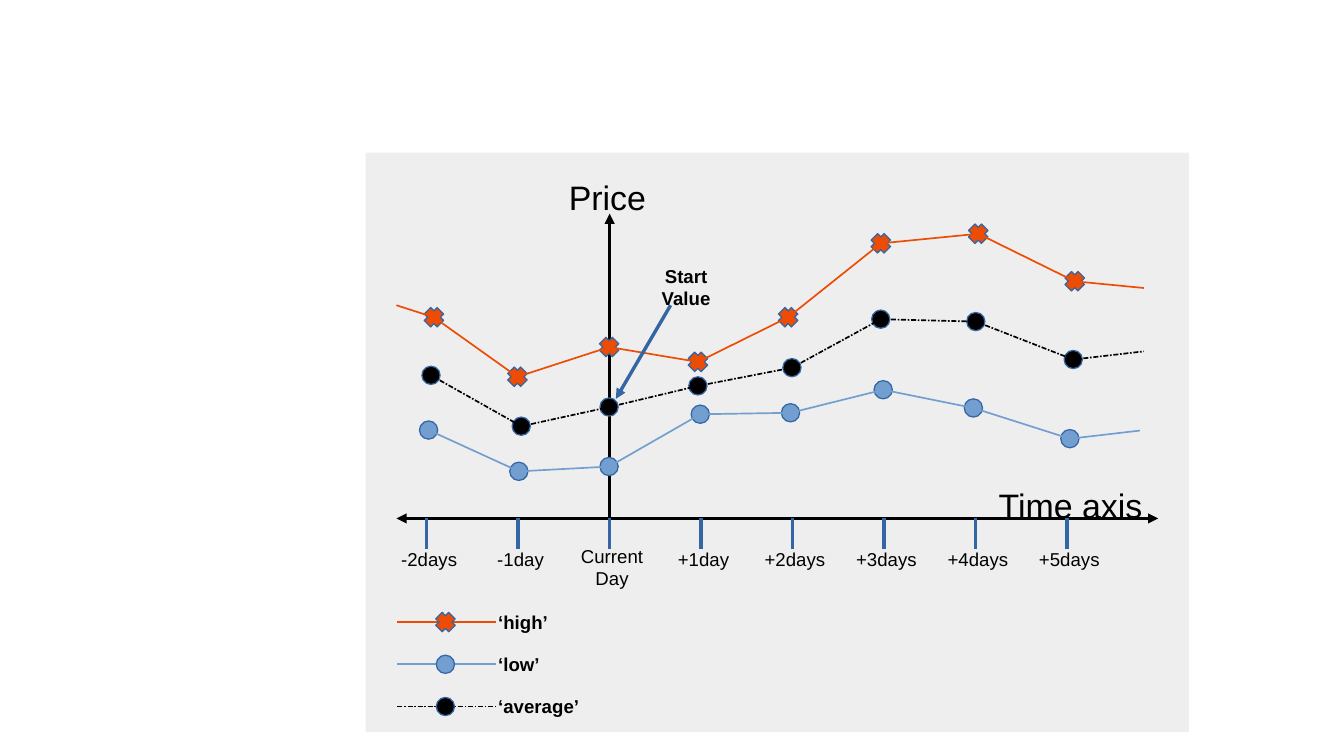
from dataclasses import dataclass
from itertools import pairwise

from lxml import etree
from pptx import Presentation, util as u
from pptx.dml.color import RGBColor
from pptx.enum import shapes, text
from pptx.oxml.ns import qn


@dataclass(frozen=True)
class Theme:
    panel: str = "EEEEEE"
    ink: str = "000000"
    accent: str = "3465A4"
    high: str = "ED4C05"
    low: str = "729FCF"
    font: str = "Arial"
    axis_title: int = 20
    label: int = 11
    hairline: int = 0
    series_line: int = 1


T = Theme()
MARKER = 0.38  # cm
LABEL_H = 1.27  # cm

# Points in cm from the top left corner of the panel
SERIES = {
    "high": dict(
        color=T.high, cross=True, dash=None, lead=(0.64, 3.18), end=(16.21, 2.82),
        points=[(1.42, 3.43), (3.16, 4.67), (5.07, 4.05), (6.92, 4.36),
                (8.8, 3.43), (10.73, 1.89), (12.76, 1.69), (14.77, 2.68)]),
    "low": dict(
        color=T.low, cross=False, dash=None, lead=None, end=(16.13, 5.79),
        points=[(1.31, 5.78), (3.19, 6.64), (5.07, 6.54), (6.97, 5.45),
                (8.85, 5.42), (10.78, 4.94), (12.66, 5.32), (14.67, 5.96)]),
    "average": dict(
        color=T.ink, cross=False, dash="sysDashDot", lead=None, end=(16.21, 4.14),
        points=[(1.36, 4.64), (3.24, 5.7), (5.07, 5.3), (6.92, 4.86),
                (8.88, 4.48), (10.73, 3.47), (12.71, 3.52), (14.74, 4.31)]),
}
DAYS = ["-2days", "-1day", "Current\nDay", "+1day", "+2days", "+3days", "+4days", "+5days"]


# Basic parts
def cm(*values):
    return [u.Cm(v) for v in values]


def line(s, start, end, color, width=T.hairline, dash=None, arrows=()):
    c = s.shapes.add_connector(shapes.MSO_CONNECTOR.STRAIGHT, *cm(*start, *end))
    c.line.color.rgb = RGBColor.from_string(color)
    c.line.width = u.Pt(width)
    props = c.element.spPr
    ln = props.find(qn("a:ln"))
    if dash:
        etree.SubElement(ln, qn("a:prstDash"), val=dash)
    for arrow in arrows:
        etree.SubElement(ln, qn(f"a:{arrow}"), type="triangle")
    etree.SubElement(props, qn("a:effectLst"))


def shape(s, kind, box, fill, outline=None):
    sp = s.shapes.add_shape(kind, *cm(*box))
    sp.shadow.inherit = False
    sp.fill.solid()
    sp.fill.fore_color.rgb = RGBColor.from_string(fill)
    if outline:
        sp.line.color.rgb = RGBColor.from_string(outline)
        sp.line.width = u.Pt(T.hairline)
    else:
        sp.line.fill.background()
    return sp


def marker(s, x, y, color, cross):
    kind = shapes.MSO_SHAPE.CROSS if cross else shapes.MSO_SHAPE.OVAL
    box = (x - MARKER / 2, y - MARKER / 2, MARKER, MARKER)
    sp = shape(s, kind, box, color, T.accent)
    if cross:
        sp.adjustments[0] = 0.25
        sp.rotation = 45


def write(sp, words, size=T.label, bold=False, align=text.PP_ALIGN.CENTER):
    tf = sp.text_frame
    frame = dict(margin_left=0, margin_top=0, margin_right=0, margin_bottom=0,
                 word_wrap=True, auto_size=text.MSO_AUTO_SIZE.NONE,
                 vertical_anchor=text.MSO_ANCHOR.MIDDLE)
    for name, value in frame.items():
        setattr(tf, name, value)
    tf.text = words
    for p in tf.paragraphs:
        p.alignment = align
        for r in p.runs:
            for name, value in dict(name=T.font, size=u.Pt(size), bold=bold).items():
                setattr(r.font, name, value)
            r.font.color.rgb = RGBColor.from_string(T.ink)


def label(s, box, words, **style):
    write(s.shapes.add_textbox(*cm(*box)), words, **style)


# Regions
def add_title(s, box):
    left, top, _, _ = box
    title = s.shapes.title
    place = cm(left + 3.51, top + 0.23, 3.05, 1.4)
    for name, value in zip(("left", "top", "width", "height"), place):
        setattr(title, name, value)
    write(title, "Price", size=T.axis_title)
    title.element.getparent().append(title.element)  # in front of the panel


def add_axes(s, box):
    left, top, width, _ = box
    step = width / 9
    first = left + step * 2 / 3
    base = top + 7.62
    current = first + 2 * step
    line(s, (left + 0.64, base), (left + 16.51, base), T.ink, arrows=("headEnd", "tailEnd"))
    line(s, (current, base), (current, top + 1.27), T.ink, arrows=("tailEnd",))
    label(s, (left + 13.16, top + 6.65, 3.05, 1.4), "Time axis", size=T.axis_title)
    for i, day in enumerate(DAYS):
        x = first + i * step
        line(s, (x, base), (x, base + 0.64), T.accent)
        drop = 0.38 if "\n" in day else 0.21
        label(s, (x - step / 2 + 0.05, base + drop, step, LABEL_H), day)


def add_series(s, box, color, cross, dash, lead, points, end):
    left, top, _, _ = box
    spots = [(left + x, top + y) for x, y in points]
    for x, y in spots:
        marker(s, x, y, color, cross)
    ends = [(left + x, top + y) for x, y in (lead, end) if lead] if lead else []
    route = ends[:1] + spots + [(left + end[0], top + end[1])]
    for start, stop in pairwise(route):
        line(s, start, stop, color, T.series_line, dash)


def add_start_value(s, box):
    left, top, _, _ = box
    line(s, (left + 6.35, top + 3.18), (left + 5.21, top + 5.13), T.accent,
         arrows=("tailEnd",))
    label(s, (left + 5.72, top + 2.16, 1.91, LABEL_H), "Start Value", bold=True)


def add_legend(s, box):
    left, top, width, height = box
    row = height / len(SERIES)
    for i, (name, look) in enumerate(SERIES.items()):
        y = top + (i + 0.5) * row
        line(s, (left, y), (left + 2.05, y), look["color"], T.series_line, look["dash"])
        marker(s, left + 1, y, look["color"], look["cross"])
        label(s, (left + 2.1, y - row / 2, width - 2.1, row), f"‘{name}’",
              bold=True, align=text.PP_ALIGN.LEFT)


def add_price_slide(prs, box):
    s = prs.slides.add_slide(prs.slide_layouts[5])
    left, top, _, _ = box
    shape(s, shapes.MSO_SHAPE.RECTANGLE, box, T.panel)
    add_title(s, box)
    add_axes(s, box)
    for look in SERIES.values():
        add_series(s, box, **look)
    add_start_value(s, box)
    add_legend(s, (left + 0.66, top + 9.34, 4.2, 2.64))


def main():
    prs = Presentation()
    prs.slide_width, prs.slide_height = cm(28, 15.75)
    add_price_slide(prs, (7.62, 3.18, 17.15, 12.07))
    prs.save("out.pptx")


if __name__ == "__main__":
    main()
